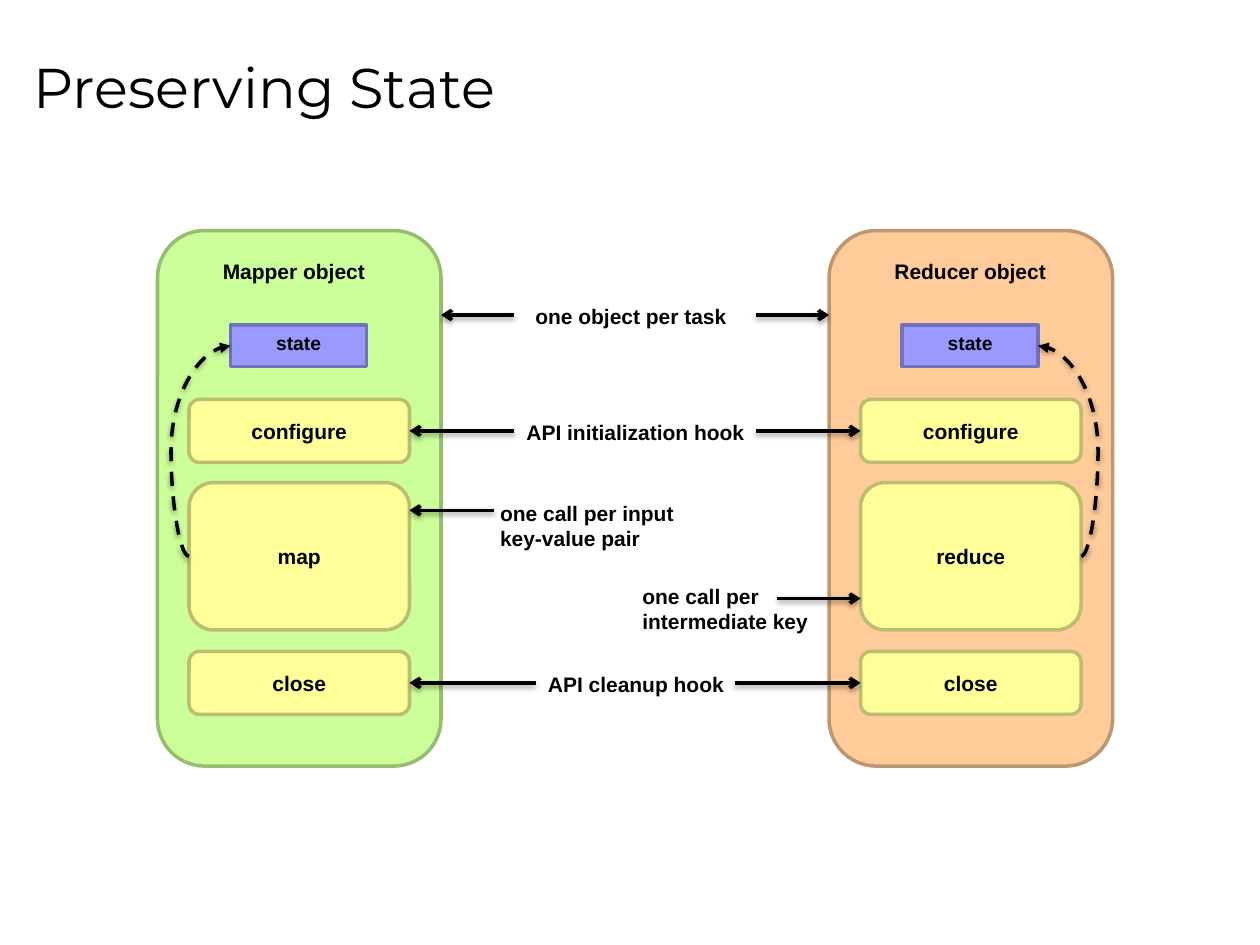
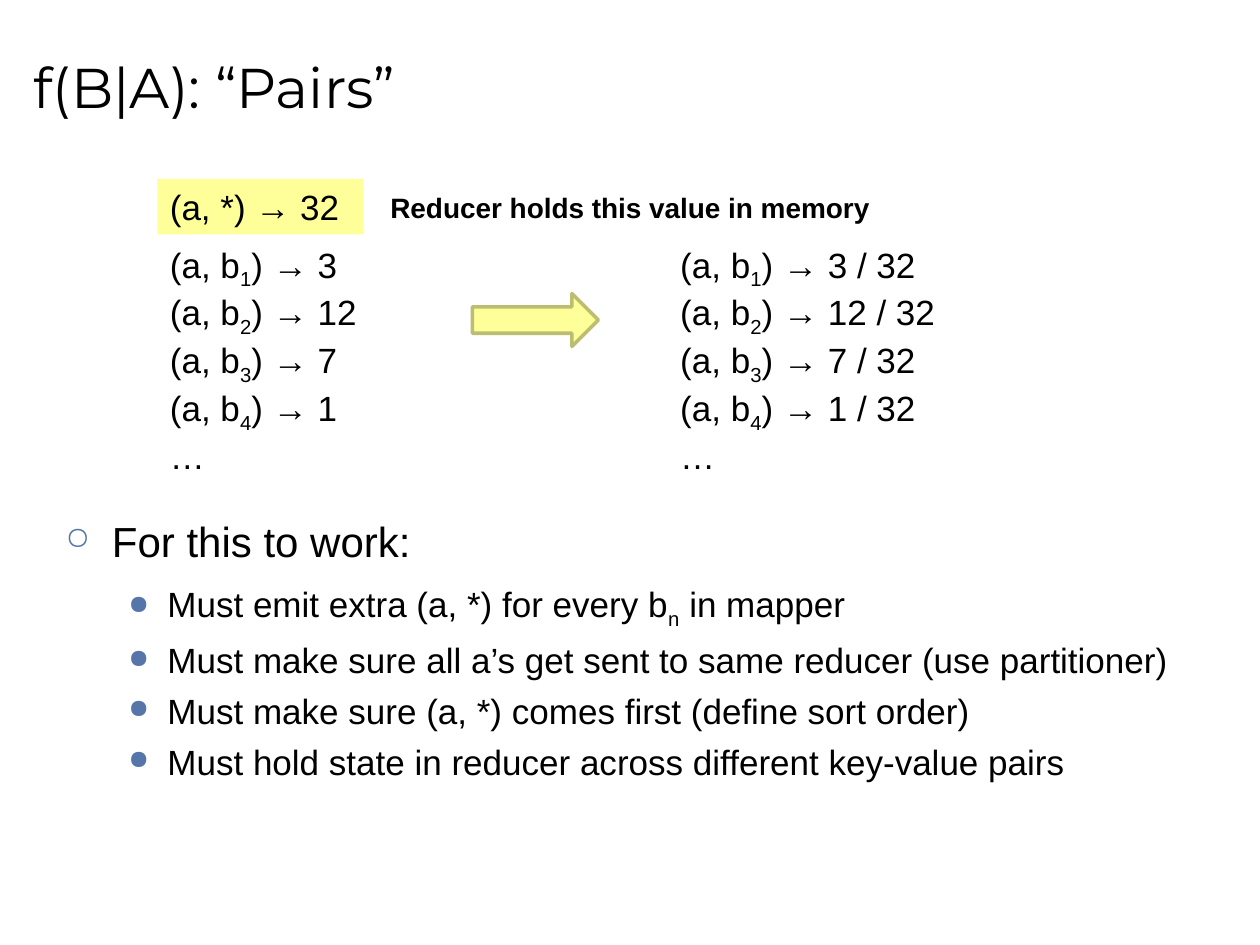
from dataclasses import dataclass
from typing import NamedTuple, Optional

from lxml.etree import SubElement
from pptx import Presentation
from pptx.dml.color import RGBColor
from pptx.enum.dml import MSO_LINE
from pptx.enum.shapes import MSO_CONNECTOR as Link, MSO_SHAPE as Preset
from pptx.enum.text import MSO_ANCHOR as Anchor, PP_ALIGN as Align
from pptx.oxml.ns import qn
from pptx.util import Inches, Pt

BLACK = RGBColor(0x00, 0x00, 0x00)
GREEN, GREEN_EDGE = RGBColor(0xCC, 0xFF, 0x99), RGBColor(0x97, 0xBD, 0x71)
ORANGE, ORANGE_EDGE = RGBColor(0xFF, 0xCC, 0x99), RGBColor(0xBD, 0x97, 0x71)
YELLOW, YELLOW_EDGE = RGBColor(0xFF, 0xFF, 0x99), RGBColor(0xBD, 0xBD, 0x71)
VIOLET, VIOLET_EDGE = RGBColor(0x99, 0x99, 0xFF), RGBColor(0x71, 0x71, 0xBD)
BULLET_BLUE = RGBColor(0x56, 0x75, 0xA9)
BODY_FONT, TITLE_FONT = "Arial", "Montserrat"
LEFT_SIDE, RIGHT_SIDE = 1, 3


class Box(NamedTuple):
    left: float
    top: float
    width: float
    height: float

    def lengths(self) -> list:
        return [Inches(value) for value in self]


class Note(NamedTuple):
    box: Box
    text: str


class Arrow(NamedTuple):
    start: float
    tip: float
    y: float
    target: Optional[tuple] = None  # (panel name, step name)


class Bullet(NamedTuple):
    text: str
    level: int = 1


class BulletStyle(NamedTuple):
    char: str
    size: int
    margin: float
    hanging: float
    before: float
    after: float


@dataclass(frozen=True)
class Panel:
    name: str
    left: float
    fill: RGBColor
    edge: RGBColor
    title_width: float
    work: str
    inner_side: int
    bend: int  # how far the memory curve bulges, in 1/1000 percent

    @property
    def outer_side(self) -> int:
        return LEFT_SIDE + RIGHT_SIDE - self.inner_side


PANELS = [
    Panel("Mapper", 1.25, GREEN, GREEN_EDGE, 1.34, "map", RIGHT_SIDE, -43200),
    Panel("Reducer", 6.58, ORANGE, ORANGE_EDGE, 1.42, "reduce", LEFT_SIDE, -39700),
]
NOTES = [
    Note(Box(4.15, 2.36, 1.76, 0.3), "one object per task"),
    Note(Box(4.08, 3.28, 1.96, 0.3), "API initialization hook"),
    Note(Box(3.87, 3.92, 1.65, 0.5), "one call per input\vkey-value pair"),
    Note(Box(5, 4.58, 1.53, 0.5), "one call per\vintermediate key"),
    Note(Box(4.25, 5.28, 1.62, 0.3), "API cleanup hook"),
]
ARROWS = [
    Arrow(4.08, 3.5, 2.5),
    Arrow(6, 6.58, 2.5),
    Arrow(4.08, 3.25, 3.42, ("Mapper", "configure")),
    Arrow(6, 6.83, 3.42, ("Reducer", "configure")),
    Arrow(3.92, 3.25, 4.05),
    Arrow(6.17, 6.83, 4.75),
    Arrow(4.25, 3.25, 5.42, ("Mapper", "close")),
    Arrow(5.83, 6.83, 5.42, ("Reducer", "close")),
]
COUNTS = [3, 12, 7, 1]
TOTAL = 32
BULLET_STYLES = [
    BulletStyle("○", 24, 0.37, 0.37, 0, 7),
    BulletStyle("●", 20, 0.81, 0.31, 2.5, 2.5),
]
# Text between tildes is set as a subscript
REQUIREMENTS = [
    Bullet("For this to work:", 0),
    Bullet("Must emit extra (a, *) for every b~n~ in mapper"),
    Bullet("Must make sure all a’s get sent to same reducer (use partitioner)"),
    Bullet("Must make sure (a, *) comes first (define sort order)"),
    Bullet("Must hold state in reducer across different key-value pairs"),
]


# Text
def write(paragraph, text: str, *, size: float = 12, font: str = BODY_FONT,
          bold: bool = False, align: Align = Align.LEFT) -> None:
    """Fill a paragraph; tildes enclose subscripts, a vertical tab breaks the line."""
    paragraph.alignment = align
    for line_number, line in enumerate(text.split("\v")):
        if line_number:
            paragraph.add_line_break()
        for position, part in enumerate(line.split("~")):
            run = paragraph.add_run()
            run.text = part
            run.font.size, run.font.name = Pt(size), font
            run.font.bold, run.font.color.rgb = bold, BLACK
            if position % 2:
                run.font._element.set("baseline", "-25000")


def add_text(slide, box: Box, lines: list, *, wrap: bool = False,
             anchor: Anchor = Anchor.TOP, **text_format) -> None:
    frame = slide.shapes.add_textbox(*box.lengths()).text_frame
    frame.word_wrap, frame.vertical_anchor = wrap, anchor
    for number, line in enumerate(lines):
        paragraph = frame.add_paragraph() if number else frame.paragraphs[0]
        write(paragraph, line, **text_format)


def add_title(slide, title: str) -> None:
    add_text(slide, Box(0.17, 0.12, 9.5, 1.12), [title], wrap=True,
             anchor=Anchor.MIDDLE, size=32, font=TITLE_FONT)


def add_bullets(slide, box: Box, bullets: list) -> None:
    frame = slide.shapes.add_textbox(*box.lengths()).text_frame
    frame.word_wrap = True
    for number, bullet in enumerate(bullets):
        style = BULLET_STYLES[bullet.level]
        paragraph = frame.add_paragraph() if number else frame.paragraphs[0]
        write(paragraph, bullet.text, size=style.size)
        paragraph.level = bullet.level
        paragraph.space_before, paragraph.space_after = Pt(style.before), Pt(style.after)
        properties = paragraph._p.get_or_add_pPr()
        properties.set("marL", str(Inches(style.margin)))
        properties.set("indent", str(-Inches(style.hanging)))
        color = SubElement(properties, qn("a:buClr"))
        SubElement(color, qn("a:srgbClr"), val=str(BULLET_BLUE))
        SubElement(properties, qn("a:buSzPct"), val="75000")
        SubElement(properties, qn("a:buChar"), char=style.char)


# Filled shapes and connectors
def add_block(slide, preset: Preset, box: Box, fill: RGBColor,
              edge: Optional[RGBColor] = None, text: str = "",
              anchor: Anchor = Anchor.MIDDLE, **text_format):
    block = slide.shapes.add_shape(preset, *box.lengths())
    block.shadow.inherit = False
    block.fill.solid()
    block.fill.fore_color.rgb = fill
    if edge is None:
        block.line.fill.background()
    else:
        block.line.color.rgb, block.line.width = edge, Pt(2)
    if text:
        block.text_frame.vertical_anchor = anchor
        write(block.text_frame.paragraphs[0], text, **text_format)
    return block


def style_connector(connector, head: str) -> None:
    """Black line with an arrowhead at its end and a soft shadow below."""
    connector.line.color.rgb, connector.line.width = BLACK, Pt(2)
    properties = connector._element.spPr
    SubElement(properties.get_or_add_ln(), qn("a:tailEnd"), type=head)
    effects = SubElement(properties, qn("a:effectLst"))
    shadow = SubElement(effects, qn("a:outerShdw"), blurRad=str(Pt(3.1)),
                        dist=str(Pt(1.6)), dir="5400000", rotWithShape="0")
    color = SubElement(shadow, qn("a:srgbClr"), val=str(BLACK))
    SubElement(color, qn("a:alpha"), val="38000")


def add_arrow(slide, arrow: Arrow, target=None, side: int = LEFT_SIDE) -> None:
    connector = slide.shapes.add_connector(
        Link.STRAIGHT, Inches(arrow.start), Inches(arrow.y), Inches(arrow.tip), Inches(arrow.y))
    if target is not None:
        connector.end_connect(target, side)
    style_connector(connector, "arrow")


def add_memory_curve(slide, work, state, side: int, bend: int) -> None:
    connector = slide.shapes.add_connector(Link.CURVE, 0, 0, 0, 0)
    connector.begin_connect(work, side)
    connector.end_connect(state, side)
    connector.line.dash_style = MSO_LINE.DASH
    style_connector(connector, "triangle")
    adjustments = connector._element.spPr.find(qn("a:prstGeom")).find(qn("a:avLst"))
    SubElement(adjustments, qn("a:gd"), name="adj1", fmla=f"val {bend}")


def add_panel(slide, panel: Panel) -> dict:
    """Draw one task object and return its steps by name."""
    add_block(slide, Preset.ROUNDED_RECTANGLE, Box(panel.left, 1.83, 2.25, 4.25),
              panel.fill, panel.edge)
    add_text(slide, Box(panel.left + 0.42, 2, panel.title_width, 0.3),
             [f"{panel.name} object"], bold=True)
    steps = {}
    for name, top, height in [("configure", 3.17, 0.5), (panel.work, 3.83, 1.17),
                              ("close", 5.17, 0.5)]:
        steps[name] = add_block(
            slide, Preset.ROUNDED_RECTANGLE, Box(panel.left + 0.25, top, 1.75, height),
            YELLOW, YELLOW_EDGE, name, bold=True, align=Align.CENTER)
    state = add_block(slide, Preset.RECTANGLE, Box(panel.left + 0.58, 2.58, 1.08, 0.33),
                      VIOLET, VIOLET_EDGE, "state", anchor=Anchor.TOP,
                      size=11, bold=True, align=Align.CENTER)
    add_memory_curve(slide, steps[panel.work], state, panel.outer_side, panel.bend)
    return steps


# Slides
def build_state_slide(slide) -> None:
    add_title(slide, "Preserving State")
    steps = {panel.name: add_panel(slide, panel) for panel in PANELS}
    sides = {panel.name: panel.inner_side for panel in PANELS}
    for arrow in ARROWS:
        if arrow.target:
            owner, step = arrow.target
            add_arrow(slide, arrow, steps[owner][step], sides[owner])
        else:
            add_arrow(slide, arrow)
    for note in NOTES:
        add_text(slide, note.box, [note.text], bold=True)


def build_pairs_slide(slide) -> None:
    add_title(slide, "f(B|A): “Pairs”")
    add_bullets(slide, Box(0.42, 4.04, 9.25, 2.71), REQUIREMENTS)

    # Counts on the left become shares of the total on the right
    for left, width, suffix in [(1.25, 1.78, ""), (5.3, 2.25, f" / {TOTAL}")]:
        pairs = [f"(a, b~{n}~) → {count}{suffix}" for n, count in enumerate(COUNTS, 1)]
        add_text(slide, Box(left, 1.88, width, 1.78), pairs + ["…"], size=20)
    add_block(slide, Preset.RIGHT_ARROW, Box(3.75, 2.33, 1, 0.42), YELLOW, YELLOW_EDGE)

    # The total kept by the reducer
    add_block(slide, Preset.RECTANGLE, Box(1.25, 1.42, 1.63, 0.44), YELLOW,
              text=f"(a, *) → {TOTAL}", anchor=Anchor.TOP, size=20)
    add_text(slide, Box(3, 1.46, 4.06, 0.37), ["Reducer holds this value in memory"],
             size=16, bold=True)


def main() -> None:
    deck = Presentation()
    deck.slide_width, deck.slide_height = Inches(10), Inches(7.5)
    blank = deck.slide_layouts[6]
    for build in (build_state_slide, build_pairs_slide):
        build(deck.slides.add_slide(blank))
    deck.save("out.pptx")


if __name__ == "__main__":
    main()
